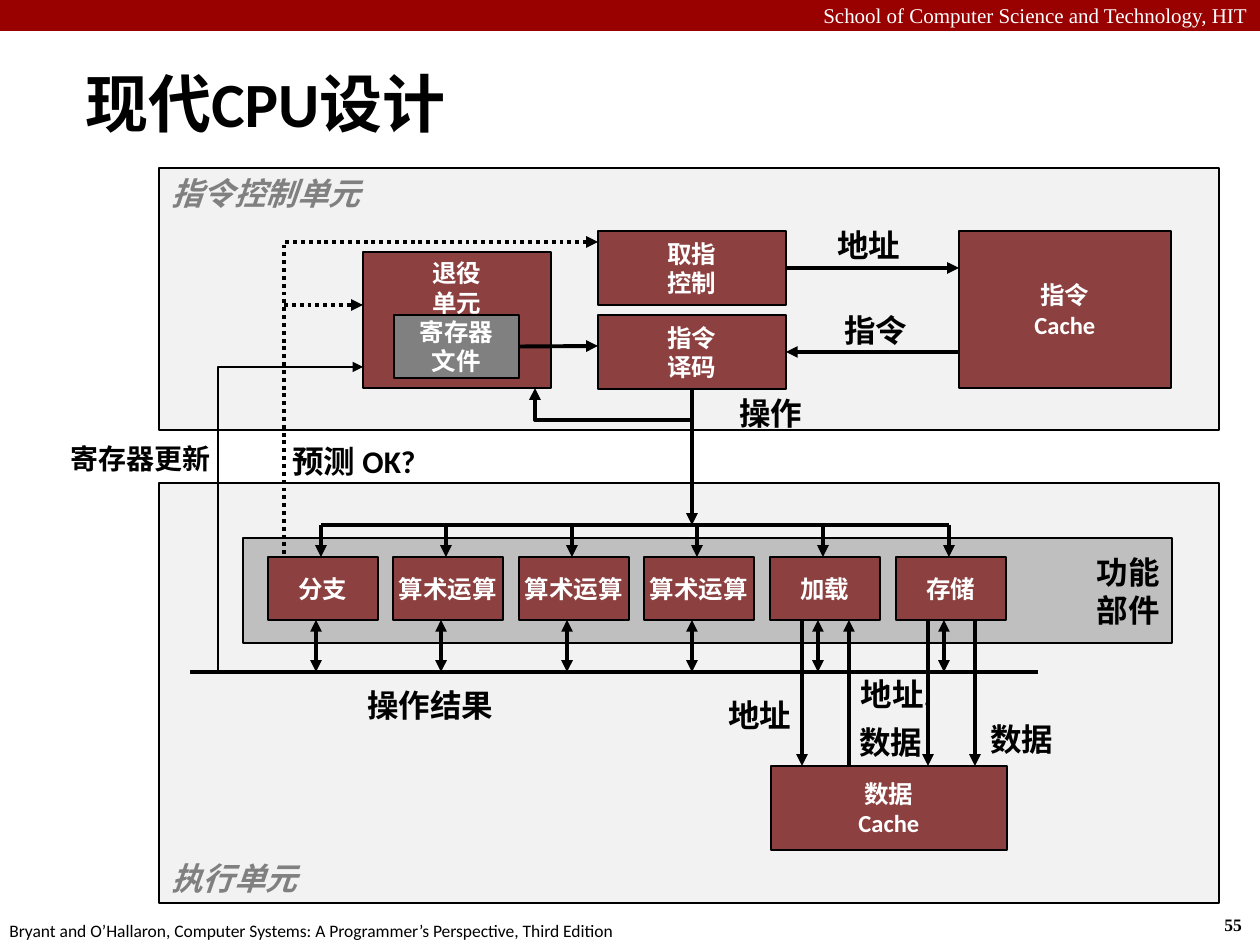
"""Build a slide that shows the block design of a modern CPU."""
from lxml.etree import SubElement
from pptx import Presentation
from pptx.dml.color import RGBColor
from pptx.enum.dml import MSO_LINE
from pptx.enum.shapes import MSO_CONNECTOR, MSO_SHAPE
from pptx.enum.text import MSO_ANCHOR as ANCHOR, MSO_AUTO_SIZE, PP_ALIGN as ALIGN
from pptx.oxml.ns import qn
from pptx.util import Pt

SCALE = 914400 / 126
BLACK = RGBColor(0x00, 0x00, 0x00)
WHITE = RGBColor(0xFF, 0xFF, 0xFF)
CRIMSON = RGBColor(0x99, 0x00, 0x00)
MAROON = RGBColor(0x8C, 0x40, 0x40)
PALE = RGBColor(0xF2, 0xF2, 0xF2)
SILVER = RGBColor(0xBF, 0xBF, 0xBF)
GRAY = RGBColor(0x80, 0x80, 0x80)


def emu(*lengths):
    return [round(length * SCALE) for length in lengths]


class Diagram:
    def __init__(self, slide, font="Calibri"):
        self.slide = slide
        self.font = font

    def letter(self, shape, text, size, color, align, anchor, bold=True,
               italic=False, font=None, wrap=False):
        frame = shape.text_frame
        frame.text = text
        frame.word_wrap = wrap
        frame.vertical_anchor = anchor
        for paragraph in frame.paragraphs:
            paragraph.alignment = align
            for run in paragraph.runs:
                run.font.name = font or self.font
                run.font.size = Pt(size)
                run.font.bold = bold
                run.font.italic = italic
                run.font.color.rgb = color

    def box(self, x, y, w, h, fill, outline=None):
        shape = self.slide.shapes.add_shape(MSO_SHAPE.RECTANGLE, *emu(x, y, w, h))
        shape.shadow.inherit = False
        shape.fill.solid()
        shape.fill.fore_color.rgb = fill
        if outline:
            shape.line.color.rgb = BLACK
            shape.line.width = Pt(outline)
        else:
            shape.line.fill.background()
        return shape

    def panel(self, text, x, y, w, h, anchor):
        shape = self.box(x, y, w, h, PALE, 1.5)
        self.letter(shape, text, 18, GRAY, ALIGN.LEFT, anchor, italic=True)

    def block(self, text, x, y, w, h, fill=MAROON, anchor=ANCHOR.MIDDLE):
        shape = self.box(x, y, w, h, fill, 0.75)
        self.letter(shape, text, 14, WHITE, ALIGN.CENTER, anchor)
        return shape

    def label(self, text, x, y, w=105, h=50, size=18, align=ALIGN.CENTER,
              color=BLACK, anchor=ANCHOR.TOP, grow=True, **style):
        shape = self.slide.shapes.add_textbox(*emu(x, y, w, h))
        self.letter(shape, text, size, color, align, anchor, **style)
        if grow:
            shape.text_frame.auto_size = MSO_AUTO_SIZE.SHAPE_TO_FIT_TEXT

    def stroke(self, shape, width, ends, dotted):
        shape.line.color.rgb = BLACK
        shape.line.width = Pt(width)
        if dotted:
            shape.line.dash_style = MSO_LINE.ROUND_DOT
        outline = shape._element.spPr.find(qn("a:ln"))
        for end in ends:
            SubElement(outline, qn(f"a:{end}"), type="triangle")

    def line(self, x1, y1, x2, y2, ends=("tailEnd",), dotted=False,
             start=None, finish=None):
        connector = self.slide.shapes.add_connector(
            MSO_CONNECTOR.STRAIGHT, *emu(x1, y1, x2, y2))
        if start:
            connector.begin_connect(*start)
        if finish:
            connector.end_connect(*finish)
        self.stroke(connector, 2.25, ends, dotted)
        SubElement(connector._element.spPr, qn("a:effectLst"))

    def bend(self, points, end, width=2.25, dotted=False):
        builder = self.slide.shapes.build_freeform(*points[0], scale=SCALE)
        builder.add_line_segments(points[1:], close=False)
        shape = builder.convert_to_shape()
        shape.shadow.inherit = False
        shape.fill.background()
        self.stroke(shape, width, (end,), dotted)


def main():
    deck = Presentation()
    deck.slide_width, deck.slide_height = emu(1260, 945)
    cpu = Diagram(deck.slides.add_slide(deck.slide_layouts[6]))

    cpu.box(0, 0, 1260, 31, CRIMSON)
    cpu.label("School of Computer Science and Technology, HIT", 0, -4, 1260, 38, 12,
              ALIGN.RIGHT, WHITE, bold=False, font="Times New Roman", wrap=True)
    cpu.label("55", 1212, 908, 47, 34, 10, ALIGN.LEFT, font="Times New Roman")
    cpu.label("Bryant and O’Hallaron, Computer Systems: A Programmer’s Perspective, "
              "Third Edition", -3, 914, 640, 34, 10, ALIGN.LEFT, bold=False)
    cpu.label("现代CPU设计", 73, 63, 808, 79, 36, ALIGN.LEFT,
              anchor=ANCHOR.MIDDLE, grow=False, wrap=True)

    cpu.panel("执行单元", 159, 483, 1060, 420, ANCHOR.BOTTOM)
    functional_units = cpu.box(243, 538, 929, 105, SILVER, 0.75)
    cpu.letter(functional_units, "功能\n部件", 18, BLACK, ALIGN.RIGHT, ANCHOR.MIDDLE)
    cpu.panel("指令控制单元", 159, 168, 1060, 262, ANCHOR.TOP)

    cpu.block("指令\nCache", 959, 231, 212, 157)
    cpu.block("数据\nCache", 771, 766, 236, 84)
    fetch = cpu.block("取指\n控制", 598, 231, 188, 74)
    decode = cpu.block("指令\n译码", 598, 315, 188, 74)
    cpu.block("退役\n单元", 363, 252, 188, 136, anchor=ANCHOR.TOP)
    registers = cpu.block("寄存器\n文件", 394, 315, 125, 63, GRAY)

    units = ["分支", "算术运算", "算术运算", "算术运算", "加载", "存储"]
    for index, unit in enumerate(units):
        offset = index * 628 // 5
        cpu.block(unit, 268 + offset, 557, 110, 63)
        cpu.line(321 + offset, 525, 321 + offset, 557)
        cpu.line(316 + offset, 620, 316 + offset, 672, ("headEnd", "tailEnd"))
    cpu.line(321, 525, 949, 525, ())
    cpu.line(190, 672, 1038, 672, ())

    cpu.line(786, 268, 959, 268, start=(fetch, 3))
    cpu.line(959, 352, 786, 352, finish=(decode, 3))
    cpu.line(692, 389, 692, 525, start=(decode, 2))
    cpu.line(519, 346, 598, 346, start=(registers, 3))
    cpu.line(284, 305, 363, 305, dotted=True)
    for x in (802, 928, 975):
        cpu.line(x, 620, x, 766)
    cpu.line(849, 766, 849, 620)

    cpu.bend([(598, 242), (284, 242), (284, 557)], "headEnd", dotted=True)
    cpu.bend([(363, 367), (218, 367), (218, 672)], "headEnd", width=1.5)
    cpu.bend([(692, 420), (535, 420), (535, 388)], "tailEnd")

    for text, x, y in [("地址", 816, 220), ("指令", 823, 305), ("操作", 718, 388),
                       ("数据", 969, 714), ("数据", 838, 717), ("地址", 707, 690)]:
        cpu.label(text, x, y)
    cpu.label("地址.", 839, 669, 115)
    cpu.label("预测 OK?", 280, 436, 178, align=ALIGN.LEFT)
    cpu.label("操作结果", 355, 680, 180, align=ALIGN.LEFT)
    cpu.label("寄存器更新", 26, 435, 197, 47, 16, ALIGN.RIGHT)

    deck.save("out.pptx")


if __name__ == "__main__":
    main()
